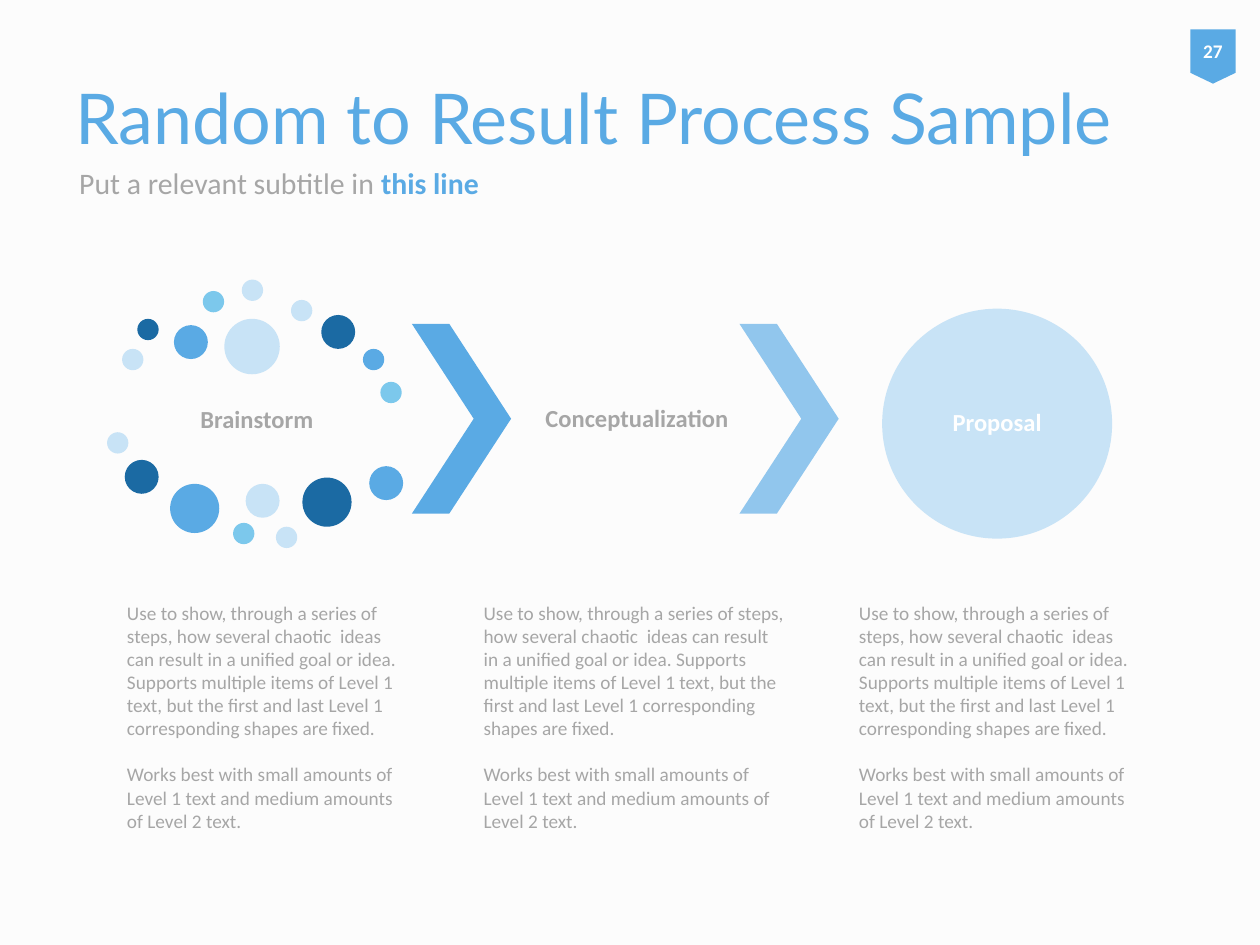
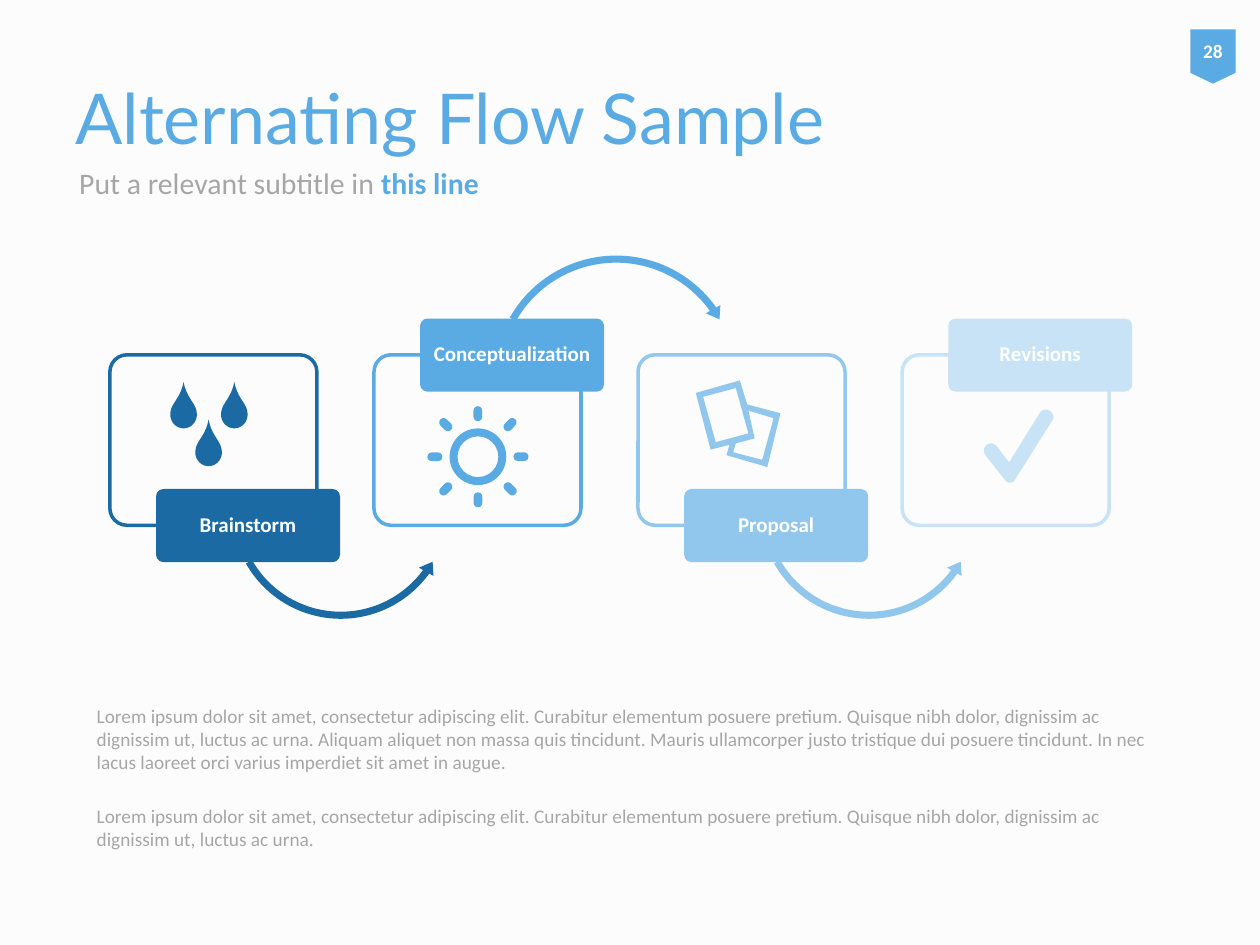
from math import cos, radians, sin
from pptx import Presentation
from pptx.dml.color import RGBColor
from pptx.enum.shapes import MSO_SHAPE as KIND
from pptx.enum.text import MSO_ANCHOR, PP_ALIGN
from pptx.util import Pt

HUES = {"deep": "1B6AA3", "blue": "5AAAE4", "soft": "91C6ED", "pale": "C8E3F6",
        "sky": "7CC8EC", "gray": "A6A6A6", "white": "FFFFFF", "page": "FCFCFC"}

FORMS = {
    "title": {"size": Pt(40), "name": "Lato"},
    "sub": {"size": Pt(17), "name": "Calibri"},
    "strong": {"size": Pt(17), "name": "Calibri", "bold": True},
    "step": {"size": Pt(14), "name": "Calibri", "bold": True},
    "tag": {"size": Pt(12), "name": "Calibri", "bold": True},
    "badge": {"size": Pt(11), "name": "Calibri", "bold": True},
    "body": {"size": Pt(11), "name": "Calibri"},
}

TITLES = [("Random to Result Process Sample", "27"),
          ("Alternating Flow Sample", "28")]
SUB = [("Put a relevant subtitle in ", "sub", "gray"), ("this line", "strong", "blue")]

NOTES = ["Use to show, through a series of steps, how several chaotic  ideas can result "
         "in a unified goal or idea. Supports multiple items of Level 1 text, but the "
         "first and last Level 1 corresponding shapes are fixed.",
         "Works best with small amounts of Level 1 text and medium amounts of Level 2 text."]
COLUMNS = [(65.5, 177.1), (269.3, 187.2), (483.8, 177.1)]
LABELS = [("Brainstorm", 69.8, 214.6, 154.1, 51.1),
          ("Conceptualization", 286.6, 185.8, 154.8, 108)]
CHEVRONS = [(235.4, "blue"), (422.6, "soft")]

SIZES = {"S": 12.2, "M": 19.4, "L": 28.1, "XL": 31.7}
DOTS = [
    (69.8, 199.4, "S", "pale"), (78.5, 182.2, "S", "deep"), (99.4, 185.8, "M", "blue"),
    (115.9, 166.3, "S", "sky"), (138.2, 159.8, "S", "pale"), (166.3, 171.4, "S", "pale"),
    (183.6, 180, "M", "deep"), (207.4, 199.4, "S", "blue"), (217.4, 218.2, "S", "sky"),
    (128.2, 182.2, "XL", "pale"), (61.2, 247, "S", "pale"), (71.3, 262.8, "M", "deep"),
    (97.2, 276.5, "L", "blue"), (133.2, 298.8, "S", "sky"), (140.4, 276.5, "M", "pale"),
    (157.7, 301, "S", "pale"), (172.8, 272.9, "L", "deep"), (211, 266.4, "M", "blue"),
]

STEPS = [("Brainstorm", "deep"), ("Conceptualization", "blue"),
         ("Proposal", "soft"), ("Revisions", "pale")]
PITCH = 150.9
LOW = (KIND.LEFT_CIRCULAR_ARROW, 129.6, 226.1, 130.3, (0.031, 3.874, 21.629, 90.245, 0.037))
HIGH = (KIND.CIRCULAR_ARROW, 128.5, 143.3, 145.4, (0.028, 3.445, 194.8, 125.755, 0.033))

LOREM = ["Lorem ipsum dolor sit amet, consectetur adipiscing elit. Curabitur elementum "
         "posuere pretium. Quisque nibh dolor, dignissim ac dignissim ut, luctus ac urna. "
         "Aliquam aliquet non massa quis tincidunt. Mauris ullamcorper justo tristique dui "
         "posuere tincidunt. In nec lacus laoreet orci varius imperdiet sit amet in augue.",
         "Lorem ipsum dolor sit amet, consectetur adipiscing elit. Curabitur elementum "
         "posuere pretium. Quisque nibh dolor, dignissim ac dignissim ut, luctus ac urna."]

TIPS = [(104.9, 218.2), (133.9, 218.2), (119.2, 239.8)]
DROP = [(0, 0), (-1.8, 10, -7.6, 12.2, -7.6, 18.7), (-7.6, 23, -4.3, 26.6, 0, 26.6),
        (4.3, 26.6, 7.6, 23, 7.6, 18.7), (7.6, 12.2, 1.8, 10, 0, 0)]
CARDS = [
    [(446, 236.2), (427, 231.1), (422.8, 217.4), (397.6, 224.6),
     (406.1, 257), (416.9, 254.2), (415.2, 260.2), (438.5, 266.9)],
    [(401.8, 226.8), (420.5, 221.8), (427.7, 247.7), (409, 252.7)],
    [(435.6, 262.8), (419, 258.5), (420.5, 253.4), (431.3, 250.6),
     (427.7, 234.7), (442.1, 239)],
]
CHECK = [(576.7, 275.8), (576, 275.8, 574.6, 275, 573.8, 273.6), (563, 259.9),
         (561.6, 257.8, 562.3, 255.6, 563.8, 254.2),
         (565.9, 252.7, 568.1, 253.4, 569.5, 254.9), (576.7, 264.2), (594, 236.2),
         (595.4, 234, 597.6, 233.3, 599.8, 234.7),
         (601.9, 236.2, 602.6, 238.3, 601.2, 240.5), (580.3, 273.6),
         (579.6, 275, 578.9, 275.8, 576.7, 275.8)]
SUN = (273.1, 261)


def tint(name):
    return RGBColor.from_string(HUES[name])


def write(shape, paras, inset=(7.2, 3.6), align=PP_ALIGN.LEFT,
          anchor=MSO_ANCHOR.MIDDLE, gap=0, lead=None):
    frame = shape.text_frame
    side, edge = map(Pt, inset)
    for key, value in {"word_wrap": True, "vertical_anchor": anchor,
                       "margin_left": side, "margin_right": side,
                       "margin_top": edge, "margin_bottom": edge}.items():
        setattr(frame, key, value)
    for place, runs in enumerate(paras):
        para = frame.add_paragraph() if place else frame.paragraphs[0]
        para.alignment = align
        if lead:
            para.line_spacing = lead
        if place:
            para.space_before = Pt(gap)
        for text, form, hue in runs:
            run = para.add_run()
            run.text = text
            for key, value in FORMS[form].items():
                setattr(run.font, key, value)
            run.font.color.rgb = tint(hue)


def box(slide, x, y, w, h, paras, **rest):
    write(slide.shapes.add_textbox(Pt(x), Pt(y), Pt(w), Pt(h)), paras, **rest)


def label(shape, text, form, hue="white"):
    write(shape, [[(text, form, hue)]], (1.5, 1.5), PP_ALIGN.CENTER, lead=0.9)


def paint(shape, fill=None, line=None):
    shape.shadow.inherit = False
    if fill:
        shape.fill.solid()
        shape.fill.fore_color.rgb = tint(fill)
    else:
        shape.fill.background()
    if line:
        shape.line.color.rgb = tint(line)
        shape.line.width = Pt(2)
    else:
        shape.line.fill.background()
    return shape


def form(slide, kind, x, y, w, h, fill=None, line=None, bends=()):
    shape = slide.shapes.add_shape(kind, Pt(x), Pt(y), Pt(w), Pt(h))
    for place, value in enumerate(bends):
        shape.adjustments[place] = value
    return paint(shape, fill, line)


def trace(steps, count=10):
    points = [steps[0]]
    for step in steps[1:]:
        if len(step) == 2:
            points.append(step)
            continue
        a, b, c, d = points[-1], step[:2], step[2:4], step[4:]
        for t in (n / count for n in range(1, count + 1)):
            u = 1 - t
            points.append(tuple(u**3 * p + 3 * u * u * t * q + 3 * u * t * t * r + t**3 * s
                                for p, q, r, s in zip(a, b, c, d)))
    return [(Pt(x), Pt(y)) for x, y in points]


def outline(slide, loops, hue):
    first, *others = map(trace, loops)
    pen = slide.shapes.build_freeform(*first[0], scale=1.0)
    pen.add_line_segments(first[1:], close=True)
    for loop in others:
        pen.move_to(*loop[0])
        pen.add_line_segments(loop[1:], close=True)
    paint(pen.convert_to_shape(), hue)


def shift(steps, tip):
    return [tuple(v + tip[n % 2] for n, v in enumerate(step)) for step in steps]


def start(deck, title, page):
    slide = deck.slides.add_slide(deck.slide_layouts[6])
    slide.background.fill.solid()
    slide.background.fill.fore_color.rgb = tint("page")
    box(slide, 36, 21.6, 635.8, 90, [[(title, "title", "blue")]])
    box(slide, 38.2, 85, 405, 38.2, [SUB])
    badge = form(slide, KIND.FLOWCHART_OFFPAGE_CONNECTOR, 680.2, 16.8, 25.9, 31, "blue")
    write(badge, [[(page, "badge", "white")]], (0, 3.6), PP_ALIGN.CENTER)
    return slide


def body(slide, x, y, w, h, texts, gap):
    box(slide, x, y, w, h, [[(text, "body", "gray")] for text in texts],
        anchor=MSO_ANCHOR.TOP, gap=gap)


def random(slide):
    for text, x, y, w, h in LABELS:
        label(slide.shapes.add_textbox(Pt(x), Pt(y), Pt(w), Pt(h)), text, "step", "gray")
    for x, y, size, hue in DOTS:
        form(slide, KIND.OVAL, x, y, SIZES[size], SIZES[size], hue)
    for x, hue in CHEVRONS:
        form(slide, KIND.CHEVRON, x, 185.1, 56.7, 108.4, hue, bends=[0.623])
    label(form(slide, KIND.OVAL, 504.1, 176.4, 131.4, 131.4, "pale"), "Proposal", "step")
    for x, w in COLUMNS:
        body(slide, x, 339.8, w, 140.4, NOTES, 13.2)


def sun(slide, hue):
    x, y = SUN
    form(slide, KIND.DONUT, x - 16.2, y - 16.2, 32.4, 32.4, hue, bends=[0.14])
    for turn in range(0, 360, 45):
        reach = 26 if turn % 90 else 24.6
        ray = form(slide, KIND.ROUNDED_RECTANGLE, x + reach * cos(radians(turn)) - 4.3,
                   y + reach * sin(radians(turn)) - 2.5, 8.6, 5, hue, bends=[0.5])
        ray.rotation = turn


def flow(slide):
    for place, (text, hue) in enumerate(STEPS):
        move = place * PITCH
        form(slide, KIND.ROUNDED_RECTANGLE, 62.8 + move, 202.8, 118.3, 97.4,
             line=hue, bends=[0.1])
        if place < len(STEPS) - 1:
            kind, x, y, size, bends = HIGH if place % 2 else LOW
            form(slide, kind, x + move, y, size, size, hue, bends=bends)
        tag = form(slide, KIND.ROUNDED_RECTANGLE, 89.2 + move, 182 if place % 2 else 279.4,
                   105.1, 41.8, hue, bends=[0.1])
        label(tag, text, "tag")
    outline(slide, [shift(DROP, tip) for tip in TIPS], "deep")
    sun(slide, "blue")
    outline(slide, CARDS, "soft")
    outline(slide, [CHECK], "pale")
    body(slide, 48.2, 398.9, 629.3, 64.1, LOREM, 17.7)


def main():
    deck = Presentation()
    deck.slide_width, deck.slide_height = Pt(720), Pt(540)
    for (title, page), draw in zip(TITLES, (random, flow)):
        draw(start(deck, title, page))
    deck.save("out.pptx")


if __name__ == "__main__":
    main()
